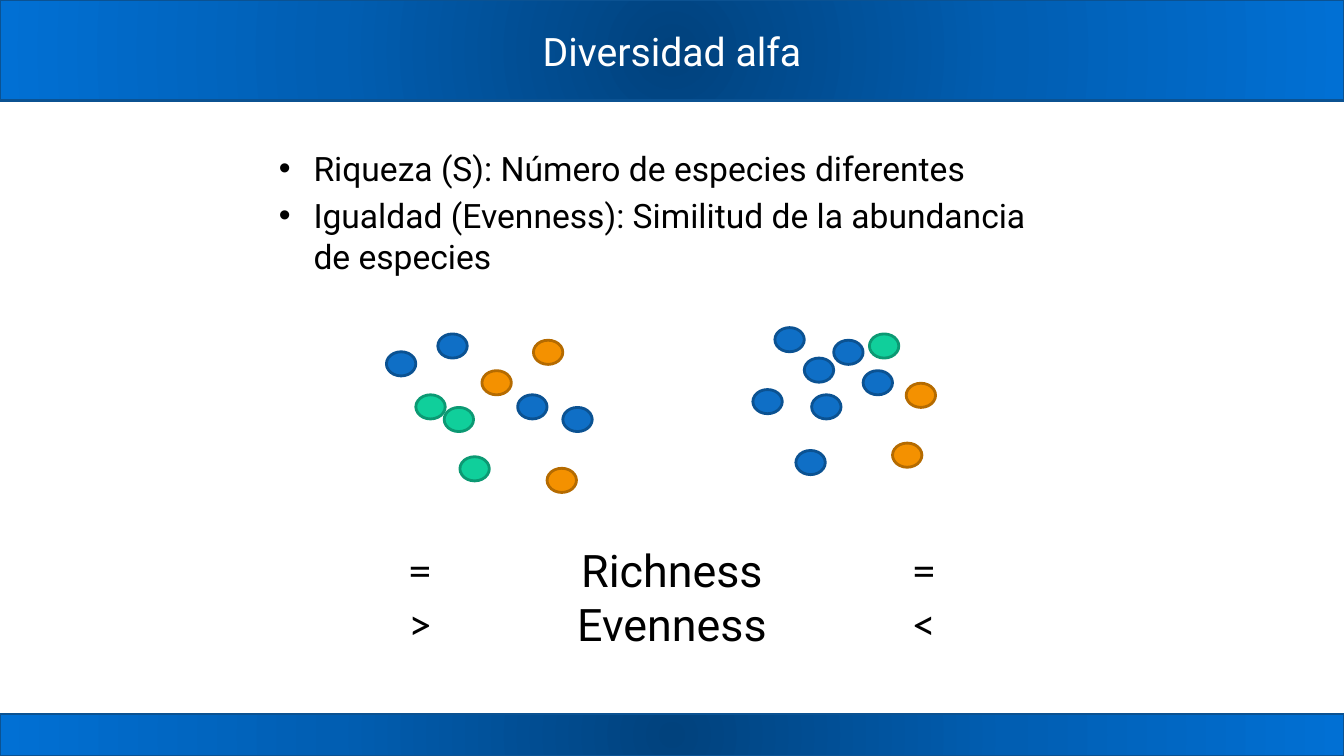
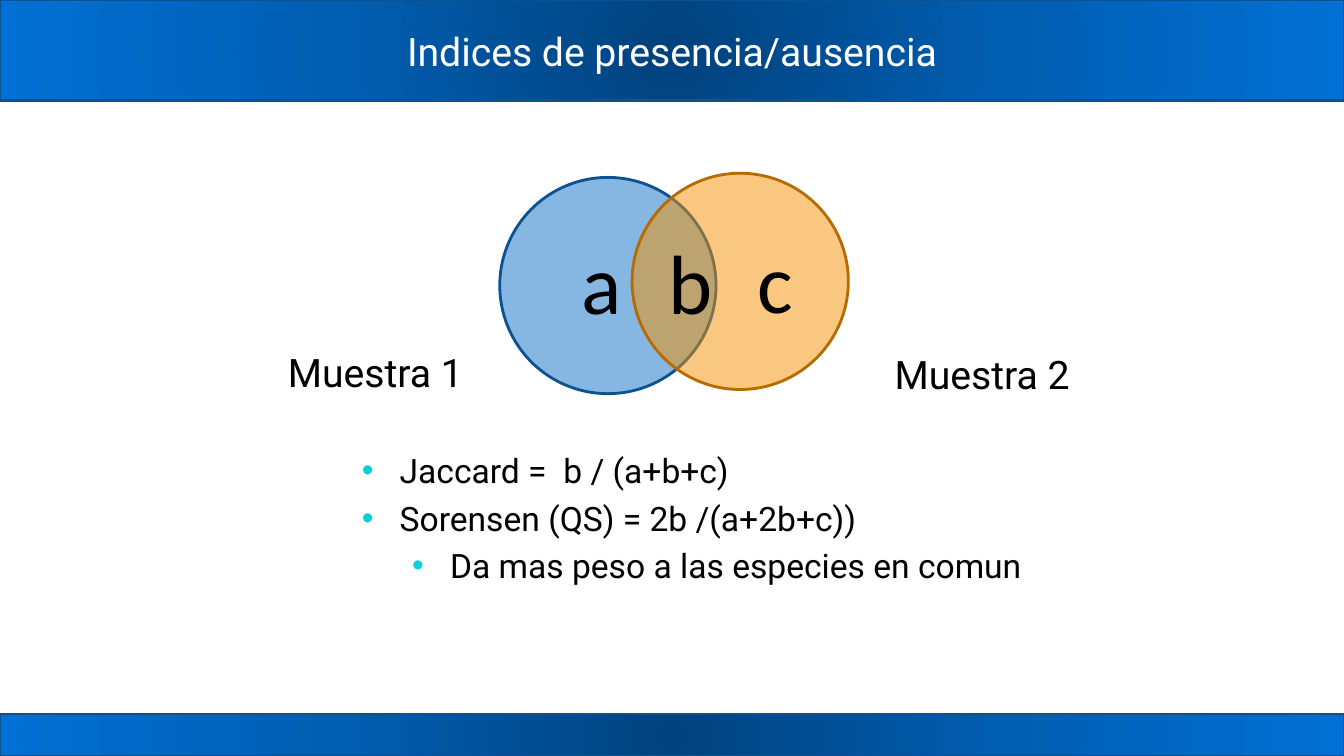
from dataclasses import dataclass

from lxml.etree import SubElement
from pptx import Presentation
from pptx.dml.color import RGBColor
from pptx.enum.shapes import MSO_SHAPE
from pptx.enum.text import MSO_ANCHOR, MSO_AUTO_SIZE, PP_ALIGN
from pptx.oxml import parse_xml
from pptx.oxml.ns import nsdecls, qn
from pptx.util import Emu, Pt


@dataclass(frozen=True)
class Theme:
    font: str = "Roboto"
    symbol_font: str = "Calibri"
    black: str = "000000"
    white: str = "FFFFFF"
    blue: tuple = ("0F6FC6", "0B5292")
    orange: tuple = ("F49100", "B56B00")
    green: tuple = ("10CF9B", "0C9973")
    band: tuple = ("01427D", "015EB2", "0170D4")
    bullet: str = "0BD0D9"
    list_size: int = 24
    title_size: int = 28
    caption_size: int = 32
    letter_size: int = 60
    line_width: int = 2
    list_gap: int = 5


THEME = Theme()
PAGE_WIDTH, PAGE_HEIGHT = 1280, 720
TITLE_HEIGHT, FOOTER_HEIGHT = 96, 40
DOT_WIDTH, DOT_HEIGHT = 28, 23
CIRCLE = 206

EVEN_SAMPLE = (
    (THEME.blue, ((417, 318), (493, 376), (536, 388), (368, 335))),
    (THEME.orange, ((459, 353), (521, 446), (508, 324))),
    (THEME.green, ((438, 435), (396, 376), (423, 388))),
)
UNEVEN_SAMPLE = (
    (THEME.blue, ((738, 312), (822, 353), (773, 376), (758, 429),
                  (717, 371), (766, 341), (794, 324))),
    (THEME.orange, ((850, 422), (863, 365))),
    (THEME.green, ((828, 318),)),
)


def px(*lengths):
    return [Emu(length * 9525) for length in lengths]


def place(shape, left, top, width, height):
    shape.left, shape.top, shape.width, shape.height = px(left, top, width, height)


def format_runs(para, size, font=THEME.font, colour=THEME.black):
    for span in para.runs:
        span.font.name = font
        span.font.size = Pt(size)
        span.font.color.rgb = RGBColor.from_string(colour)


def add_filled(shapes, preset, area, colours):
    fill, line = colours
    shape = shapes.add_shape(preset, *px(*area))
    shape.shadow.inherit = False
    shape.fill.solid()
    shape.fill.fore_color.rgb = RGBColor.from_string(fill)
    shape.line.color.rgb = RGBColor.from_string(line)
    shape.line.width = Pt(THEME.line_width)
    return shape


def set_radial_fill(shape, colours):
    step = 100000 // (len(colours) - 1)
    stops = "".join(
        f'<a:gs pos="{index * step}"><a:srgbClr val="{colour}"/></a:gs>'
        for index, colour in enumerate(colours))
    gradient = parse_xml(
        f'<a:gradFill {nsdecls("a")} rotWithShape="1"><a:gsLst>{stops}</a:gsLst>'
        '<a:path path="circle"><a:fillToRect l="50000" t="50000" r="50000" b="50000"/>'
        '</a:path></a:gradFill>')
    properties = shape.element.spPr
    properties.replace(properties.find(qn("a:solidFill")), gradient)


def set_opacity(shape, percent):
    colour = shape.element.spPr.find(qn("a:solidFill"))[0]
    SubElement(colour, qn("a:alpha")).set("val", str(percent * 1000))


def move_bands_to_master(deck, page):
    areas = ((0, 0, PAGE_WIDTH, TITLE_HEIGHT),
             (0, PAGE_HEIGHT - FOOTER_HEIGHT, PAGE_WIDTH, FOOTER_HEIGHT))
    for index, area in enumerate(areas):
        band = add_filled(page.shapes, MSO_SHAPE.RECTANGLE, area,
                          (THEME.band[0], THEME.blue[1]))
        set_radial_fill(band, THEME.band)
        band.element.xpath("p:nvSpPr/p:cNvPr")[0].set("id", str(100 + index))
        deck.slide_master.shapes.element.insert(2 + index, band.element)


def add_page(deck, title):
    page = deck.slides.add_slide(deck.slide_layouts.get_by_name("Title and Content"))
    box = page.shapes.title
    place(box, 128, 0, 1024, TITLE_HEIGHT)
    box.text_frame.text = title
    box.text_frame.vertical_anchor = MSO_ANCHOR.MIDDLE
    para = box.text_frame.paragraphs[0]
    para.alignment = PP_ALIGN.CENTER
    format_runs(para, THEME.title_size, colour=THEME.white)
    return page


def set_bullet(para, margin, hanging, colour):
    properties = para._p.get_or_add_pPr()
    properties.set("marL", str(px(margin)[0]))
    properties.set("indent", str(px(-hanging)[0]))
    tint = SubElement(properties, qn("a:buClr"))
    SubElement(tint, qn("a:srgbClr")).set("val", colour)
    SubElement(properties, qn("a:buFont")).set("typeface", "Arial")
    SubElement(properties, qn("a:buChar")).set("char", "•")


def fill_list(page, area, items, hanging, colour):
    box = page.placeholders[1]
    place(box, *area)
    frame = box.text_frame
    frame.text = "\n".join(text for text, level in items)
    frame.auto_size = MSO_AUTO_SIZE.NONE
    for index, (para, (text, level)) in enumerate(zip(frame.paragraphs, items)):
        para.level = level
        set_bullet(para, hanging + 48 * level, hanging, colour)
        para.space_before = Pt(THEME.list_gap if index else 0)
        format_runs(para, THEME.list_size)


def add_text(page, area, text, size, font=THEME.font, align=PP_ALIGN.CENTER, wrap=True):
    box = page.shapes.add_textbox(*px(*area))
    frame = box.text_frame
    frame.text = text
    frame.word_wrap = wrap
    frame.auto_size = MSO_AUTO_SIZE.SHAPE_TO_FIT_TEXT
    for para in frame.paragraphs:
        para.alignment = align
        format_runs(para, size, font)


def add_sample(page, sample):
    group = page.shapes.add_group_shape()
    for colours, dots in sample:
        for left, top in dots:
            add_filled(group.shapes, MSO_SHAPE.OVAL,
                       (left, top, DOT_WIDTH, DOT_HEIGHT), colours)


def add_venn(page):
    group = page.shapes.add_group_shape()
    for left, top, colours in ((476, 169, THEME.blue), (602, 165, THEME.orange)):
        circle = add_filled(group.shapes, MSO_SHAPE.OVAL,
                            (left, top, CIRCLE, CIRCLE), colours)
        set_opacity(circle, 50)
    for letter, left, top, width in (("a", 544, 215, 59), ("b", 627, 215, 61),
                                     ("c", 712, 214, 54)):
        add_text(page, (left, top, width, 107), letter, THEME.letter_size,
                 THEME.symbol_font, PP_ALIGN.LEFT, False)
    for label, left, top in (("Muestra 1", 264, 327), ("Muestra 2", 842, 329)):
        add_text(page, (left, top, 187, 55), label, THEME.title_size, wrap=False)


def build_alpha(page):
    fill_list(page, (256, 136, 752, 136), (
        ("Riqueza (S): Número de especies diferentes", 0),
        ("Igualdad (Evenness): Similitud de la abundancia de especies", 0),
    ), 33, THEME.black)
    for sample in (EVEN_SAMPLE, UNEVEN_SAMPLE):
        add_sample(page, sample)
    add_text(page, (456, 512, 368, 113), "Richness\nEvenness", THEME.caption_size)
    for text, left, width in (("=\n>", 340, 120), ("=\n<", 824, 112)):
        add_text(page, (left, 511, width, 113), text, THEME.caption_size,
                 THEME.symbol_font)


def build_presence(page):
    add_venn(page)
    fill_list(page, (335, 424, 808, 141), (
        ("Jaccard =  b / (a+b+c)", 0),
        ("Sorensen (QS) = 2b /(a+2b+c))", 0),
        ("Da mas peso a las especies en comun", 1),
    ), 36, THEME.bullet)


def main():
    deck = Presentation()
    deck.slide_width, deck.slide_height = px(PAGE_WIDTH, PAGE_HEIGHT)
    alpha = add_page(deck, "Diversidad alfa")
    move_bands_to_master(deck, alpha)
    build_alpha(alpha)
    build_presence(add_page(deck, "Indices de presencia/ausencia"))
    deck.save("out.pptx")


if __name__ == "__main__":
    main()
